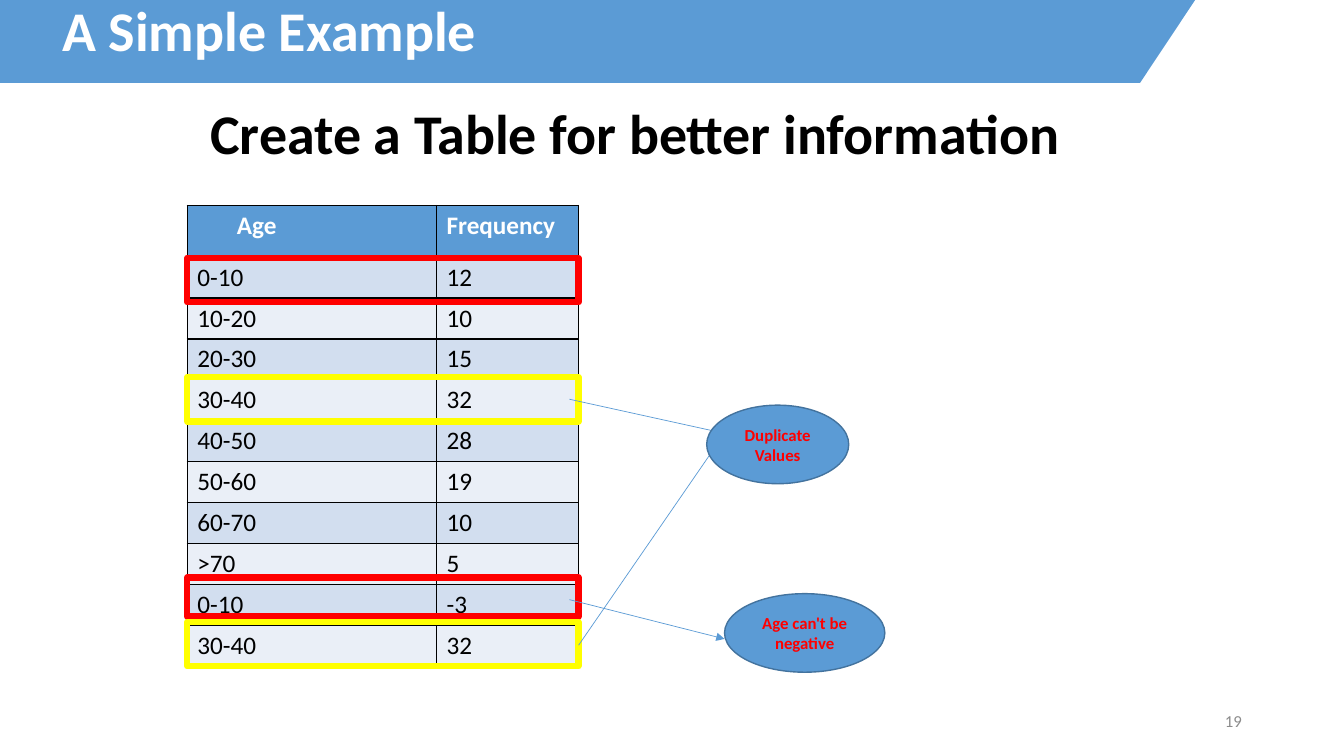
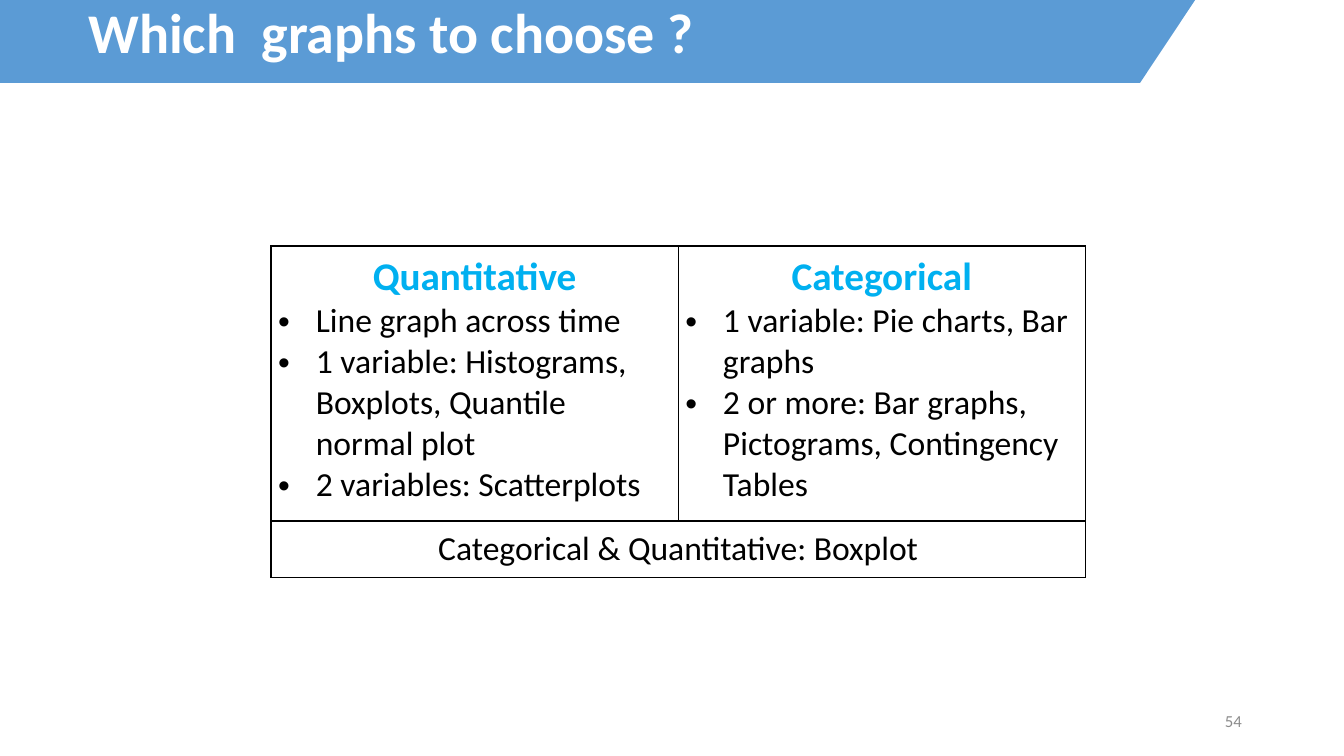
from lxml.etree import SubElement
from pptx import Presentation
from pptx.dml.color import RGBColor
from pptx.enum.shapes import MSO_CONNECTOR, MSO_SHAPE
from pptx.enum.text import MSO_ANCHOR, PP_ALIGN
from pptx.oxml.ns import qn
from pptx.util import Cm, Pt

FONT = "Calibri"
BLACK = RGBColor(0x00, 0x00, 0x00)
WHITE = RGBColor(0xFF, 0xFF, 0xFF)
GREY = RGBColor(0x8C, 0x8C, 0x8C)
BLUE = RGBColor(0x5B, 0x9B, 0xD5)
DARK_BLUE = RGBColor(0x43, 0x73, 0x9E)
SKY = RGBColor(0x00, 0xB0, 0xF0)
STRIPES = [RGBColor(0xEA, 0xEF, 0xF7), RGBColor(0xD2, 0xDE, 0xEF)]
RED = RGBColor(0xFF, 0x00, 0x00)
YELLOW = RGBColor(0xFF, 0xFF, 0x00)


def add_run(p, text, size, color, bold=False):
    r = p.add_run()
    r.text = text
    r.font.name = FONT
    r.font.size = Pt(size)
    r.font.bold = bold
    r.font.color.rgb = color


def style_cell(cell, fill=None):
    """Give the cell thin black borders and a solid fill, or none."""
    tcPr = cell._tc.get_or_add_tcPr()
    for side in ("a:lnL", "a:lnR", "a:lnT", "a:lnB"):
        ln = SubElement(tcPr, qn(side), w=str(Pt(1)))
        solid = SubElement(ln, qn("a:solidFill"))
        SubElement(solid, qn("a:srgbClr"), val=str(BLACK))
    if fill is None:
        cell.fill.background()
    else:
        cell.fill.solid()
        cell.fill.fore_color.rgb = fill


prs = Presentation()
prs.slide_width = Cm(33.87)
prs.slide_height = Cm(19.05)

# Shared band, title and slide number
slides = []
for title, left, top, number in [
    ("A Simple Example", 1.32, -0.05, "19"),
    ("Which  graphs to choose ?", 1.98, 0, "54"),
]:
    s = prs.slides.add_slide(prs.slide_layouts[6])
    slides.append(s)
    outline = s.shapes.build_freeform(0, 0)
    outline.add_line_segments(
        [(Cm(30.12), 0), (Cm(28.73), Cm(2.09)), (0, Cm(2.09))])
    band = outline.convert_to_shape()
    band.shadow.inherit = False
    band.fill.solid()
    band.fill.fore_color.rgb = BLUE
    band.line.fill.background()

    tf = s.shapes.add_textbox(Cm(left), Cm(top), Cm(29.21), Cm(1.93)).text_frame
    tf.word_wrap = True
    tf.paragraphs[0].line_spacing = 0.9
    add_run(tf.paragraphs[0], title, 40, WHITE, True)

    tf = s.shapes.add_textbox(Cm(23.93), Cm(17.65), Cm(7.62), Cm(1.02)).text_frame
    tf.word_wrap = True
    tf.vertical_anchor = MSO_ANCHOR.MIDDLE
    tf.paragraphs[0].alignment = PP_ALIGN.RIGHT
    add_run(tf.paragraphs[0], number, 12, GREY)

example, graphs = slides

# Frequency table with its data errors marked
tf = example.shapes.add_textbox(Cm(5.05), Cm(2.54), Cm(28.2), Cm(3.05)).text_frame
tf.word_wrap = True
tf.paragraphs[0].line_spacing = 0.9
add_run(tf.paragraphs[0], "Create a Table for better information", 40, BLACK, True)

ages = [
    ("Age", "Frequency"),
    ("0-10", "12"), ("10-20", "10"), ("20-30", "15"), ("30-40", "32"),
    ("40-50", "28"), ("50-60", "19"), ("60-70", "10"), (">70", "5"),
    ("0-10", "-3"), ("30-40", "32"),
]
table = example.shapes.add_table(
    len(ages), 2, Cm(4.72), Cm(5.18), Cm(9.86), Cm(11.6)).table
table.columns[0].width = Cm(6.28)
table.columns[1].width = Cm(3.58)
for i, row in enumerate(ages):
    header = i == 0
    table.rows[i].height = Cm(1.3 if header else 1.03)
    for j, text in enumerate(row):
        cell = table.cell(i, j)
        style_cell(cell, BLUE if header else STRIPES[i % 2])
        add_run(cell.text_frame.paragraphs[0], text, 18,
                WHITE if header else BLACK, header)
table.cell(0, 0).margin_left = Cm(1.25)

for top, height, color in [
    (6.5, 1.12, RED), (14.55, 0.99, RED),
    (9.5, 1.12, YELLOW), (15.67, 1.12, YELLOW),
]:
    frame = example.shapes.add_shape(
        MSO_SHAPE.RECTANGLE, Cm(4.72), Cm(top), Cm(9.86), Cm(height))
    frame.shadow.inherit = False
    frame.fill.background()
    frame.line.color.rgb = color
    frame.line.width = Pt(4.5)

for x, y, end_y in [(14.35, 10.06, 10.92), (14.35, 15.11, 16.1), (14.58, 16.26, 10.92)]:
    arrow = example.shapes.add_connector(
        MSO_CONNECTOR.STRAIGHT, Cm(x), Cm(y), Cm(18.26), Cm(end_y))
    arrow.line.color.rgb = BLUE
    arrow.line.width = Pt(0.5)
    spPr = arrow._element.spPr
    SubElement(spPr.find(qn("a:ln")), qn("a:tailEnd"), type="triangle")
    SubElement(spPr, qn("a:effectLst"))

for text, left, top, width in [
    ("Age can't be negative", 18.26, 14.96, 4.04),
    ("Duplicate Values", 17.81, 10.21, 3.58),
]:
    callout = example.shapes.add_shape(
        MSO_SHAPE.OVAL, Cm(left), Cm(top), Cm(width), Cm(1.98))
    callout.shadow.inherit = False
    callout.fill.solid()
    callout.fill.fore_color.rgb = BLUE
    callout.line.color.rgb = DARK_BLUE
    callout.line.width = Pt(1)
    tf = callout.text_frame
    tf.word_wrap = True
    tf.vertical_anchor = MSO_ANCHOR.MIDDLE
    tf.paragraphs[0].alignment = PP_ALIGN.CENTER
    add_run(tf.paragraphs[0], text, 12, RED, True)

# Graph types by kind of variable
choices = [
    ("Quantitative", [
        "Line graph across time",
        "1 variable: Histograms, Boxplots, Quantile normal plot",
        "2 variables: Scatterplots",
    ]),
    ("Categorical", [
        "1 variable: Pie charts, Bar graphs",
        "2 or more: Bar graphs, Pictograms, Contingency Tables",
    ]),
]
table = graphs.shapes.add_table(
    2, 2, Cm(6.83), Cm(6.2), Cm(20.52), Cm(8.35)).table
table.first_row = False
table.horz_banding = False
table.rows[0].height = Cm(6.93)
table.rows[1].height = Cm(1.42)
for cell in table.iter_cells():
    style_cell(cell)
    cell.margin_left = cell.margin_right = Cm(0.18)
    cell.margin_top = cell.margin_bottom = Cm(0.18)

for j, (heading, items) in enumerate(choices):
    tf = table.cell(0, j).text_frame
    tf.paragraphs[0].alignment = PP_ALIGN.CENTER
    add_run(tf.paragraphs[0], heading, 28, SKY, True)
    for item in items:
        p = tf.add_paragraph()
        pPr = p._p.get_or_add_pPr()
        pPr.set("marL", str(Cm(0.95)))
        pPr.set("indent", str(-Cm(0.95)))
        SubElement(pPr, qn("a:buFont"), typeface="Arial")
        SubElement(pPr, qn("a:buChar"), char="•")
        add_run(p, item, 24, BLACK)

both = table.cell(1, 0)
both.merge(table.cell(1, 1))
both.vertical_anchor = MSO_ANCHOR.MIDDLE
p = both.text_frame.paragraphs[0]
p.alignment = PP_ALIGN.CENTER
add_run(p, "Categorical & Quantitative: Boxplot", 24, BLACK)

prs.save("out.pptx")
